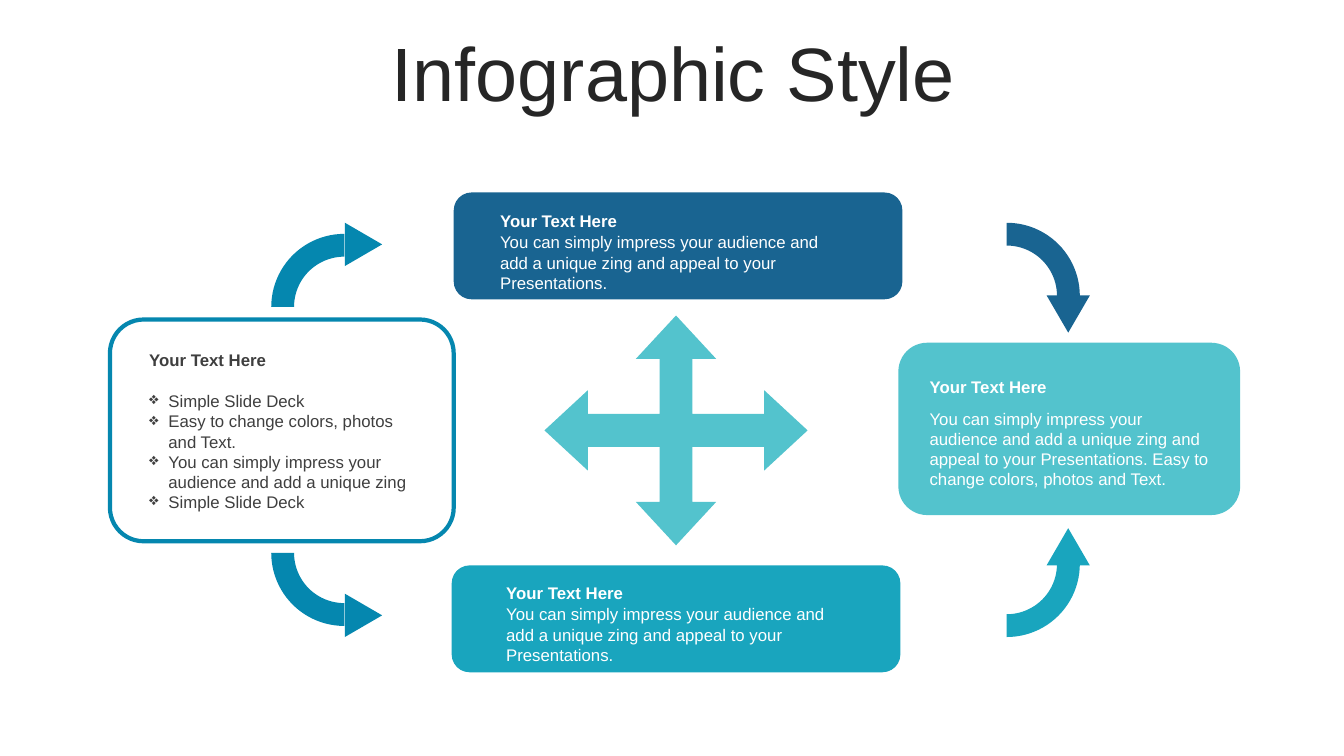
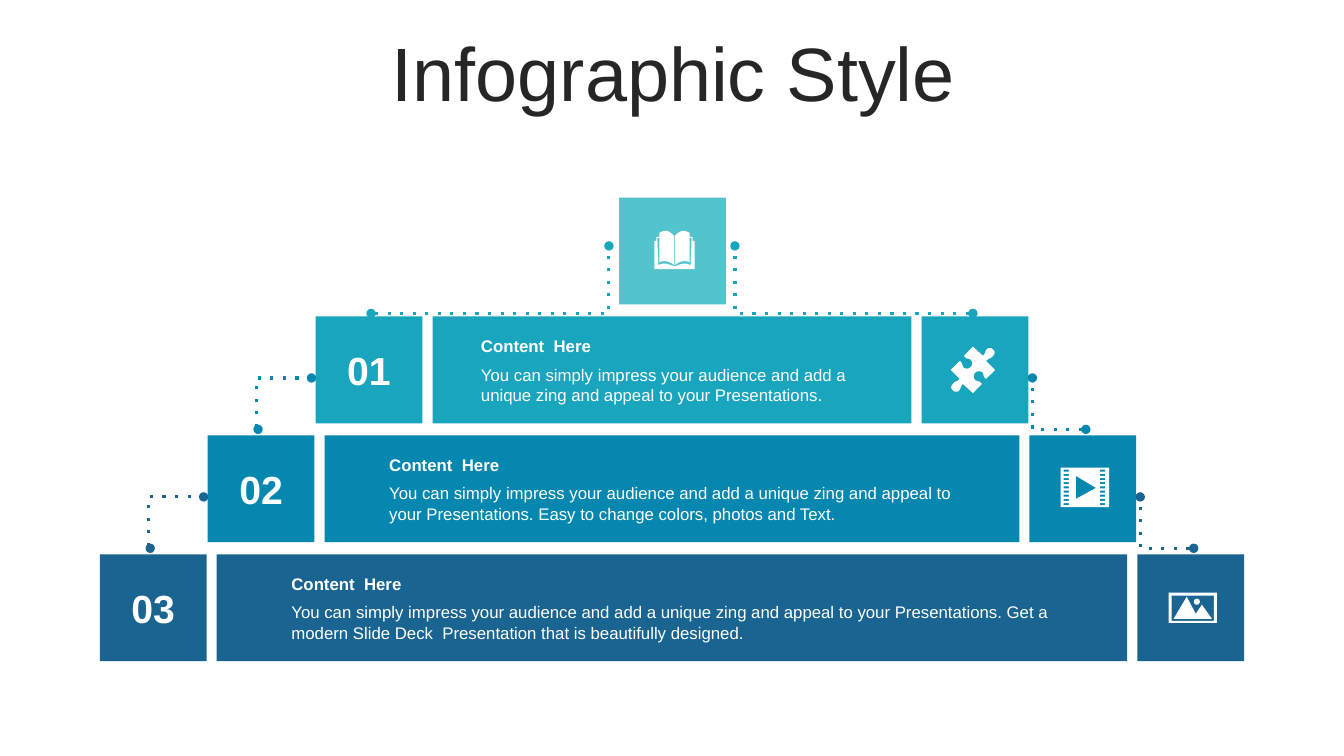
from dataclasses import dataclass
from math import cos, pi, sin

from lxml.etree import SubElement
from pptx import Presentation
from pptx.dml.color import RGBColor
from pptx.enum.shapes import MSO_CONNECTOR as Link, MSO_SHAPE as Shape
from pptx.enum.text import MSO_ANCHOR as Anchor, MSO_AUTO_SIZE as AutoSize, PP_ALIGN as Align
from pptx.oxml.ns import qn
from pptx.util import Inches, Pt


@dataclass(frozen=True)
class Theme:
    font: str = "Arial"
    ink: str = "262626"
    grey: str = "3F3F3F"
    white: str = "FFFFFF"
    navy: str = "196491"
    blue: str = "0587AF"
    teal: str = "19A5BE"
    aqua: str = "53C3CD"
    title_size: int = 54
    number_size: int = 28
    text_size: int = 12


THEME = Theme()
SLIDE_WIDTH, SLIDE_HEIGHT = 13.33, 7.5
TITLE = "Infographic Style"
IMPRESS = "You can simply impress your audience and add a unique zing"
APPEAL = f"{IMPRESS} and appeal to your Presentations."
EASY = "Easy to change colors, photos and Text."
TILE = 1.06


def set_font(para, size, color, bold=False):
    font = para.font
    font.name, font.size, font.bold = THEME.font, Pt(size), bold
    font.color.rgb = RGBColor.from_string(color)


def add_page(deck):
    """Add a title-only slide that carries the shared title."""
    page = deck.slides.add_slide(deck.slide_layouts[5])
    title = page.shapes.title
    title.left, title.top = Inches(0.35), Inches(0.37)
    title.width, title.height = Inches(12.66), Inches(0.79)
    frame = title.text_frame
    frame.text = TITLE
    frame.auto_size, frame.vertical_anchor = AutoSize.NONE, Anchor.MIDDLE
    para = frame.paragraphs[0]
    para.alignment, para.line_spacing = Align.CENTER, 0.9
    set_font(para, THEME.title_size, THEME.ink)
    return page


def paint(shape, fill):
    shape.shadow.inherit = False
    shape.fill.solid()
    shape.fill.fore_color.rgb = RGBColor.from_string(fill)
    shape.line.fill.background()


def add_block(page, kind, box, fill, adjust=(), turn=0):
    shape = page.shapes.add_shape(kind, *map(Inches, box))
    paint(shape, fill)
    shape.rotation = turn
    for index, value in enumerate(adjust):
        shape.adjustments[index] = value
    return shape


def add_bullet(para):
    props = para._p.get_or_add_pPr()
    props.set("marL", str(Inches(0.19)))
    props.set("indent", str(-Inches(0.19)))
    SubElement(props, qn("a:buChar"), char="❖")


def add_note(page, box, heading, lines, gap, color=THEME.white, bullets=False):
    """Add a bold heading with lines below it, gap points apart."""
    frame = page.shapes.add_textbox(*map(Inches, box)).text_frame
    frame.word_wrap = True
    frame.margin_left = frame.margin_right = frame.margin_top = frame.margin_bottom = 0
    head = frame.paragraphs[0]
    head.text, head.space_after = heading, Pt(gap)
    set_font(head, THEME.text_size, color, bold=True)
    for line in lines:
        para = frame.add_paragraph()
        para.text = line
        set_font(para, THEME.text_size, color)
        if bullets:
            add_bullet(para)


def add_curved_arrow(page, arc_at, angles, tip_at, turn, color):
    add_block(page, Shape.BLOCK_ARC, (*arc_at, 1.45, 1.45), color, (*angles, 0.156))
    add_block(page, Shape.ISOSCELES_TRIANGLE, (*tip_at, 0.43, 0.37), color, turn=turn)


def add_dotted_elbow(page, start, end, bend, color):
    """Join two points; bend is the share of the width at which the line turns."""
    link = page.shapes.add_connector(Link.ELBOW, *map(Inches, (*start, *end)))
    link.line.width = Pt(2.25)
    link.line.color.rgb = RGBColor.from_string(color)
    props = link._element.spPr
    guides = props.find(qn("a:prstGeom")).find(qn("a:avLst"))
    SubElement(guides, qn("a:gd"), name="adj1", fmla=f"val {round(bend * 100000)}")
    line = props.find(qn("a:ln"))
    SubElement(line, qn("a:prstDash"), val="dot")
    for end_tag in ("a:headEnd", "a:tailEnd"):
        SubElement(line, qn(end_tag), type="oval")
    SubElement(props, qn("a:effectLst"))


def add_icon(page, outlines):
    """Draw closed outlines, in inches, as one white shape with holes."""
    builder = None
    for outline in outlines:
        points = [(Inches(x), Inches(y)) for x, y in outline]
        if builder is None:
            builder = page.shapes.build_freeform(*points[0], scale=1.0)
        else:
            builder.move_to(*points[0])
        builder.add_line_segments(points[1:], close=True)
    paint(builder.convert_to_shape(), THEME.white)


def flatten(start, steps, pieces=6):
    """Turn steps of one point (line) or three points (cubic curve) into points."""
    points = [start]
    for step in steps:
        if len(step) == 1:
            points.append(step[0])
            continue
        knots = (points[-1], *step)
        for piece in range(1, pieces + 1):
            t = piece / pieces
            weights = ((1 - t) ** 3, 3 * t * (1 - t) ** 2, 3 * t * t * (1 - t), t ** 3)
            points.append(tuple(sum(w * knot[axis] for w, knot in zip(weights, knots))
                                for axis in (0, 1)))
    return points


def place(points, x, y):
    """Move points given in hundredths of an inch to an origin in inches."""
    return [(x + px / 100, y + py / 100) for px, py in points]


def rectangle(left, top, right, bottom):
    return [(left, top), (right, top), (right, bottom), (left, bottom)]


def book_icon():
    right = flatten((0.3, 35), [
        ((7, 33), (10, 31), (16, 34)), ((17, 7),), ((15, 7),), ((15, 31),),
        ((10, 29), (5, 30), (0.3, 34)), ((0.3, 5),),
        ((3, 2), (6, 0), (9, 0)), ((11, 0), (13, 1), (15, 2)),
        ((15, 6),), ((18, 6),), ((18, 10),), ((20, 10),), ((20, 38),)])
    left = [(-x, y) for x, y in reversed(right)]
    return [place(right + left, 6.69, 2.29)]


def puzzle_icon():
    half = flatten((20, -20), [
        ((22, -19), (22, -16), (20, -14)), ((18, -11), (16, -12), (13, -9)),
        ((22, 0),), ((13, 9),),
        ((10, 7), (11, 4), (9, 2)), ((7, 1), (4, 1), (2, 3)),
        ((1, 4), (0, 7), (2, 10)), ((5, 12), (6, 10), (9, 14)),
        ((0, 23),), ((-10, 14),),
        ((-13, 17), (-11, 17), (-14, 21)), ((-16, 22), (-19, 22), (-20, 20))])
    return [place(half + [(-x, -y) for x, y in half], 9.65, 3.67)]


def film_icon():
    rows = 9
    tops = [4.66 + 0.33 * row / (rows - 1) for row in range(rows)]
    holes = [rectangle(left, top, left + 0.05, top + 0.02)
             for left in (10.55, 10.91) for top in tops]
    play = [(10.67, 4.72), (10.67, 4.95), (10.87, 4.84)]
    return [rectangle(10.52, 4.64, 11, 5.03), *holes, play]


def landscape_icon():
    sun = [(11.87 + 0.03 * cos(pi * step / 12), 5.97 + 0.03 * sin(pi * step / 12))
           for step in range(24)]
    hills = [(11.77, 5.92), (11.86, 6.09), (11.92, 6), (12.02, 6.14), (11.64, 6.14)]
    return [rectangle(11.59, 5.88, 12.07, 6.18),
            rectangle(11.62, 5.91, 12.04, 6.16), hills, sun]


def build_cycle(deck):
    page = add_page(deck)
    frame = add_block(page, Shape.ROUNDED_RECTANGLE, (1.09, 3.17, 3.41, 2.2),
                      THEME.white, (0.152,))
    frame.fill.background()
    frame.line.color.rgb = RGBColor.from_string(THEME.blue)
    frame.line.width = Pt(3)
    heading = "Your Text Here"
    simple = "Simple Slide Deck"
    add_note(page, (1.48, 3.47, 2.65, 1.6), heading, (simple, EASY, IMPRESS, simple),
             15, THEME.grey, bullets=True)

    add_block(page, Shape.QUAD_ARROW, (5.4, 3.13, 2.61, 2.28), THEME.aqua,
              (0.143, 0.175, 0.189))

    cards = (
        ((8.91, 3.4, 3.39, 1.71), THEME.aqua, (9.22, 3.74, 2.83, 1.1), f"{APPEAL} {EASY}", 8),
        ((4.5, 1.91, 4.45, TILE), THEME.navy, (4.96, 2.09, 3.48, 0.8), APPEAL, 1),
        ((4.48, 5.61, 4.45, TILE), THEME.teal, (5.02, 5.78, 3.48, 0.8), APPEAL, 1),
    )
    for box, color, text_box, text, gap in cards:
        add_block(page, Shape.ROUNDED_RECTANGLE, box, color, (0.167,))
        add_note(page, text_box, heading, (text,), gap)

    # Arc angles count in units of 1/0.6 degree, clockwise from three o'clock.
    arrows = (
        ((2.69, 2.32), (108, 162), (3.39, 2.24), 90, THEME.blue),
        ((2.69, 4.76), (54, 108), (3.39, 5.92), 90, THEME.blue),
        ((9.26, 4.87), (0, 54), (10.38, 5.24), 0, THEME.teal),
        ((9.26, 2.21), (162, 0), (10.38, 2.93), 180, THEME.navy),
    )
    for arrow in arrows:
        add_curved_arrow(page, *arrow)


def add_step(page, number, left, top, color, indent, text):
    """Add a number tile, a text bar and an icon tile, centred on the slide."""
    right = SLIDE_WIDTH - left - TILE
    gap = 0.1
    bar_left = left + TILE + gap
    bar_width = right - gap - bar_left
    tile = add_block(page, Shape.RECTANGLE, (left, top, TILE, TILE), color)
    add_block(page, Shape.RECTANGLE, (bar_left, top, bar_width, TILE), color)
    add_block(page, Shape.RECTANGLE, (right, top, TILE, TILE), color)
    frame = tile.text_frame
    frame.text, frame.vertical_anchor = f"{number:02}", Anchor.MIDDLE
    frame.paragraphs[0].alignment = Align.CENTER
    set_font(frame.paragraphs[0], THEME.number_size, THEME.white, bold=True)
    add_note(page, (bar_left + indent, top + 0.19, bar_width - 2 * indent, 0.75),
             "Content  Here", (text,), 6)


def add_mirrored_elbows(page, start, end, left_bend, color):
    add_dotted_elbow(page, start, end, left_bend, color)
    mirrored = [(SLIDE_WIDTH - x, y) for x, y in (start, end)]
    add_dotted_elbow(page, *mirrored, 1, color)


def build_pyramid(deck):
    page = add_page(deck)
    add_block(page, Shape.RECTANGLE, (6.14, 1.96, TILE, TILE), THEME.aqua)
    steps = (
        (THEME.teal, 0.48, APPEAL),
        (THEME.blue, 0.64, f"{APPEAL} {EASY}"),
        (THEME.navy, 0.74, f"{APPEAL} Get a modern Slide Deck  Presentation "
                           "that is beautifully designed."),
    )
    first_left, first_top, shift, drop = 3.13, 3.14, 1.07, 1.18
    places = [(first_left - shift * row, first_top + drop * row) for row in range(len(steps))]
    for number, ((left, top), step) in enumerate(zip(places, steps), 1):
        add_step(page, number, left, top, *step)

    add_mirrored_elbows(page, (3.68, 3.11), (6.04, 2.44), 1, THEME.teal)
    for upper, lower, step in zip(places, places[1:], steps[1:]):
        add_mirrored_elbows(page, (lower[0] + 0.5, lower[1] - 0.06),
                            (upper[0] - 0.04, upper[1] + 0.61), -0.03, step[0])

    for icon in (book_icon, puzzle_icon, film_icon, landscape_icon):
        add_icon(page, icon())


def main():
    deck = Presentation()
    deck.slide_width, deck.slide_height = Inches(SLIDE_WIDTH), Inches(SLIDE_HEIGHT)
    build_cycle(deck)
    build_pyramid(deck)
    deck.save("out.pptx")


if __name__ == "__main__":
    main()
